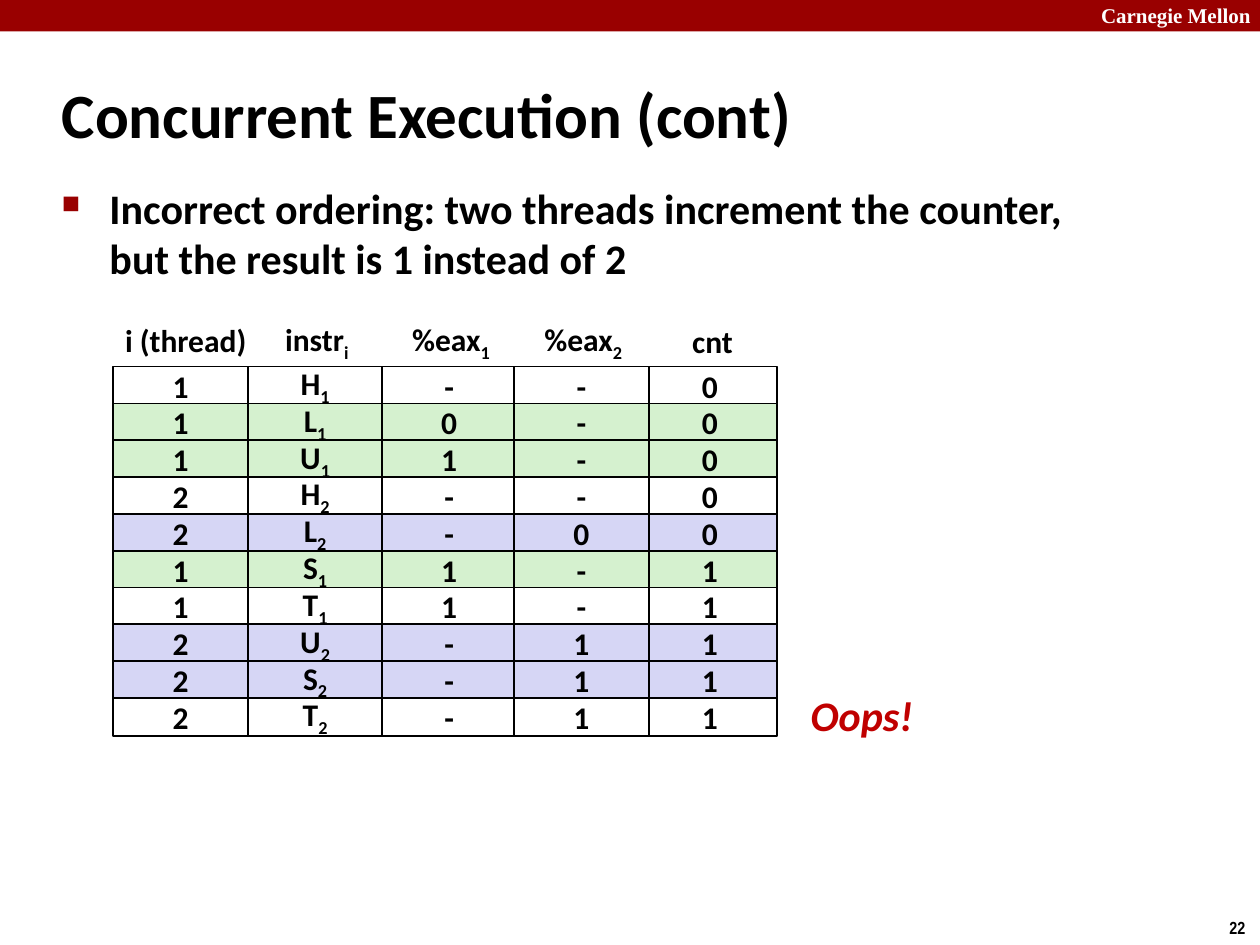
"""Build the slide that traces an incorrect ordering of two concurrent threads."""
from dataclasses import dataclass

from lxml.etree import SubElement
from pptx import Presentation
from pptx.dml.color import RGBColor
from pptx.enum.shapes import MSO_SHAPE
from pptx.enum.text import MSO_ANCHOR, MSO_AUTO_SIZE, PP_ALIGN
from pptx.oxml.ns import qn
from pptx.util import Pt

COLORS = {
    "red": "990000",
    "alarm": "C00000",
    "black": "000000",
    "white": "FFFFFF",
    "green": "D5F1CF",
    "lilac": "D6D6F5",
}
ROW_FILLS = ("white", "green", "green", "white", "lilac",
             "green", "white", "lilac", "lilac", "white")
TABLE_TOP = 209.5
ROW_PITCH = 21.04
CELL_WIDTH, CELL_HEIGHT = 77, 21.6


@dataclass(frozen=True)
class Area:
    left: float
    top: float
    width: float
    height: float

    def lengths(self) -> tuple:
        return Pt(self.left), Pt(self.top), Pt(self.width), Pt(self.height)


@dataclass(frozen=True)
class Style:
    size: float = 18
    color: str = "black"
    font: str = "Calibri"
    italic: bool = False


@dataclass(frozen=True)
class Column:
    left: float
    heading: str
    heading_area: Area
    values: str


COLUMNS = (
    Column(64.8, "i (thread)", Area(64.1, 180, 84.2, 28.8), "1 1 1 2 2 1 1 2 2 2"),
    Column(141.6, "instr_i", Area(155.5, 180.6, 51.1, 28.8),
           "H_1 L_1 U_1 H_2 L_2 S_1 T_1 U_2 S_2 T_2"),
    Column(218.2, "%eax_1", Area(227.5, 180.6, 60.5, 28.8), "- 0 1 - - 1 1 - - -"),
    Column(367.2, "cnt", Area(388.1, 180.6, 38.2, 28.8), "0 0 0 0 0 1 1 1 1 1"),
    Column(293.8, "%eax_2", Area(303.1, 180.6, 60.5, 28.8), "- - - - 0 - - 1 1 1"),
)


def rgb(name: str) -> RGBColor:
    return RGBColor.from_string(COLORS[name])


def write(para, text: str, style: Style) -> None:
    """Add text as runs; the part after an underscore becomes a subscript."""
    for position, part in enumerate(text.split("_")):
        span = para.add_run()
        span.text = part
        span.font.name = style.font
        span.font.size = Pt(style.size)
        span.font.bold = True
        span.font.italic = style.italic or None
        span.font.color.rgb = rgb(style.color)
        if position:
            span._r.get_or_add_rPr().set("baseline", "-25000")


def set_hanging(para, indent: float) -> None:
    properties = para._p.get_or_add_pPr()
    properties.set("marL", str(Pt(indent)))
    properties.set("indent", str(-Pt(indent)))


def add_bullet(para, symbol: str, color: str, percent: int) -> None:
    properties = para._p.get_or_add_pPr()
    bullet_color = SubElement(properties, qn("a:buClr"))
    SubElement(bullet_color, qn("a:srgbClr"), val=COLORS[color])
    SubElement(properties, qn("a:buSzPct"), val=str(percent * 1000))
    SubElement(properties, qn("a:buChar"), char=symbol)


def add_label(page, area: Area, text: str, style: Style,
              wrap: bool = False, centered: bool = True):
    box = page.shapes.add_textbox(*area.lengths())
    frame = box.text_frame
    frame.word_wrap = wrap
    frame.auto_size = MSO_AUTO_SIZE.SHAPE_TO_FIT_TEXT
    para = frame.paragraphs[0]
    if centered:
        frame.vertical_anchor = MSO_ANCHOR.MIDDLE
        para.alignment = PP_ALIGN.CENTER
    write(para, text, style)


def add_rectangle(page, area: Area, fill: str):
    box = page.shapes.add_shape(MSO_SHAPE.RECTANGLE, *area.lengths())
    box.shadow.inherit = False
    box.fill.solid()
    box.fill.fore_color.rgb = rgb(fill)
    box.line.fill.background()
    return box


def add_cell(page, area: Area, text: str, fill: str) -> None:
    box = add_rectangle(page, area, fill)
    box.line.color.rgb = rgb("black")
    box.line.width = Pt(1)
    box.text_frame.vertical_anchor = MSO_ANCHOR.MIDDLE
    para = box.text_frame.paragraphs[0]
    para.alignment = PP_ALIGN.CENTER
    write(para, text, Style())


def add_column(page, column: Column) -> None:
    for row, (text, fill) in enumerate(zip(column.values.split(), ROW_FILLS)):
        top = TABLE_TOP + row * ROW_PITCH
        add_cell(page, Area(column.left, top, CELL_WIDTH, CELL_HEIGHT), text, fill)
    add_label(page, column.heading_area, column.heading, Style())


def add_title(page, text: str) -> None:
    title = page.shapes.title
    title.left, title.top, title.width, title.height = Area(28.1, 34.6, 597.6, 59.8).lengths()
    frame = title.text_frame
    frame.auto_size = MSO_AUTO_SIZE.NONE
    frame.vertical_anchor = MSO_ANCHOR.MIDDLE
    para = frame.paragraphs[0]
    para.alignment = PP_ALIGN.LEFT
    set_hanging(para, 9.4)
    write(para, text, Style(36))


def add_statement(page, text: str) -> None:
    box = page.shapes.add_textbox(*Area(28.1, 100.8, 622.1, 67.7).lengths())
    box.text_frame.word_wrap = True
    para = box.text_frame.paragraphs[0]
    set_hanging(para, 27.4)
    add_bullet(para, "■", "red", 60)
    write(para, text, Style(24))


def main() -> None:
    deck = Presentation()
    deck.slide_width, deck.slide_height = Pt(720), Pt(540)
    page = deck.slides.add_slide(deck.slide_layouts.get_by_name("Title Only"))
    add_rectangle(page, Area(0, 0, 720, 18), "red")
    add_label(page, Area(622.1, -2.2, 103, 21.6), "Carnegie Mellon",
              Style(12, "white", "Times New Roman"), wrap=True, centered=False)
    add_label(page, Area(695.5, 520.6, 24.5, 19.4), "22",
              Style(10, font="Arial Narrow"), centered=False)
    add_title(page, "Concurrent Execution (cont)")
    add_statement(page, "Incorrect ordering: two threads increment the counter, "
                        "but the result is 1 instead of 2")
    for column in COLUMNS:
        add_column(page, column)
    add_label(page, Area(455.8, 390.2, 73.4, 36), "Oops!", Style(24, "alarm", italic=True))
    deck.save("out.pptx")


if __name__ == "__main__":
    main()
